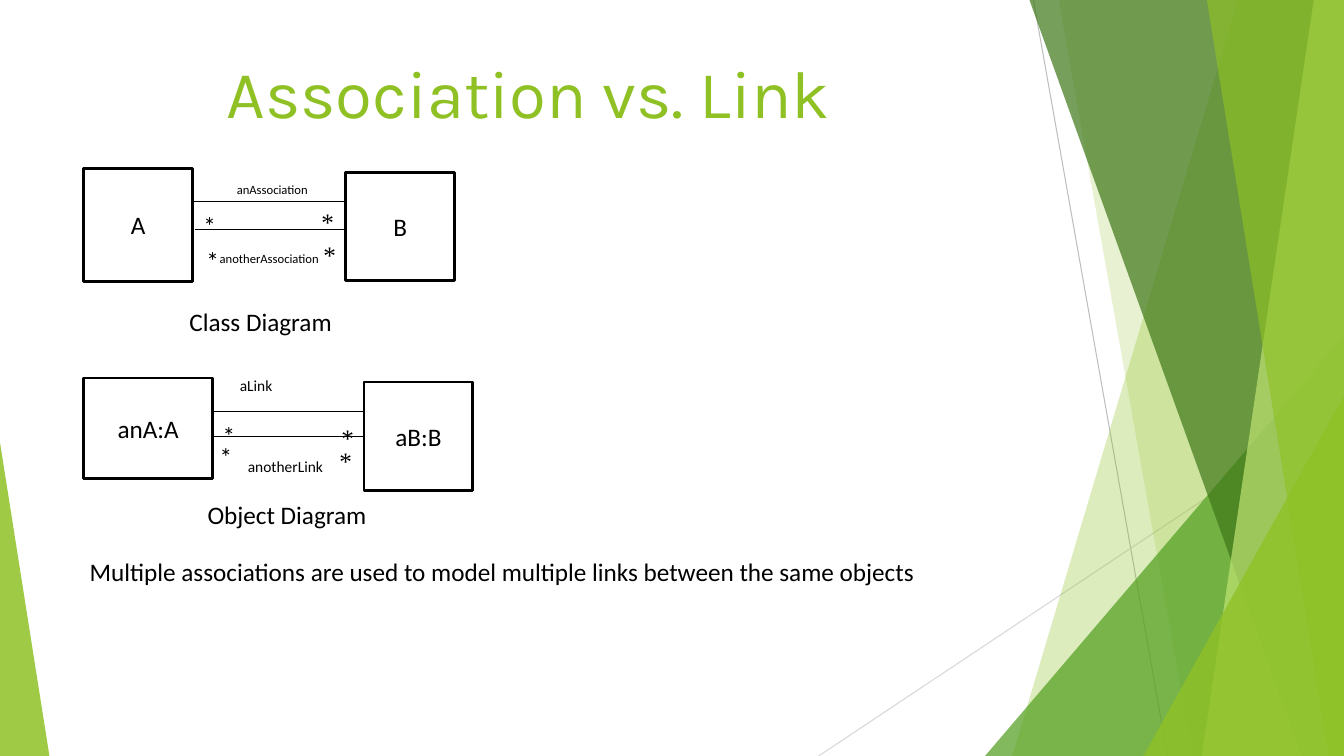
from dataclasses import dataclass

from lxml.etree import SubElement
from pptx import Presentation
from pptx.dml.color import RGBColor
from pptx.enum.shapes import MSO_CONNECTOR, MSO_SHAPE
from pptx.enum.text import MSO_ANCHOR, MSO_AUTO_SIZE, PP_ALIGN
from pptx.oxml.ns import qn
from pptx.shapes.autoshape import Shape
from pptx.shapes.connector import Connector
from pptx.slide import Slide
from pptx.text.text import TextFrame
from pptx.util import Emu, Pt

EMU_PER_PX = 9144
WIDTH, HEIGHT = 1333, 750
GREEN = "8FC125"
BLACK = "000000"


@dataclass(frozen=True)
class Facet:
    points: tuple[tuple[int, int], ...]
    color: str
    opacity: int


@dataclass(frozen=True)
class Box:
    text: str
    left: int
    top: int
    width: int
    height: int


@dataclass(frozen=True)
class Line:
    start: tuple[int, int]
    end: tuple[int, int]
    color: str = BLACK
    target: str = ""


@dataclass(frozen=True)
class Label:
    text: str
    left: int
    top: int
    width: int
    height: int = 40
    size: int = 18


@dataclass(frozen=True)
class Multiplicity:
    left: int
    top: int
    at_target: bool


FACETS = (
    Facet(((WIDTH, 0), (1228, 0), (1004, HEIGHT), (WIDTH, HEIGHT)), GREEN, 30),
    Facet(((WIDTH, 0), (1050, 0), (1183, HEIGHT), (WIDTH, HEIGHT)), GREEN, 20),
    Facet(((WIDTH, 333), (977, HEIGHT), (WIDTH, HEIGHT)), "539F20", 72),
    Facet(((WIDTH, 0), (1021, 0), (1291, HEIGHT), (WIDTH, HEIGHT)), "3E7718", 70),
    Facet(((WIDTH, 0), (1303, 0), (1192, HEIGHT), (WIDTH, HEIGHT)), "BFE373", 70),
    Facet(((WIDTH, 0), (1197, 0), (1318, HEIGHT), (WIDTH, HEIGHT)), GREEN, 65),
    Facet(((WIDTH, 393), (1134, HEIGHT), (WIDTH, HEIGHT)), GREEN, 80),
    Facet(((0, 439), (0, HEIGHT), (49, HEIGHT)), GREEN, 85),
)
BACKGROUND_LINES = (
    Line((1025, 0), (1158, HEIGHT), "BEBEBE"),
    Line((WIDTH, 403), (812, HEIGHT), "D8D8D8"),
)
BOXES = (
    Box("A", 83, 167, 108, 112),
    Box("B", 343, 171, 108, 107),
    Box("anA:A", 83, 375, 128, 100),
    Box("aB:B", 361, 379, 108, 108),
)
RELATIONS = (
    Line((192, 200), (342, 200)),
    Line((193, 228), (343, 228)),
    Line((211, 408), (361, 408)),
    Line((211, 433), (361, 433), target="aB:B"),
)
LABELS = (
    Label("anAssociation", 225, 176, 108, 25, 9),
    Label("anotherAssociation", 208, 244, 125, 25, 9),
    Label("Class Diagram", 178, 299, 208),
    Label("aLink", 228, 368, 108, 29, 11),
    Label("anotherLink", 236, 449, 108, 29, 11),
    Label("Object Diagram", 196, 490, 208),
    Label(
        "Multiple associations are used to model multiple links between the same objects",
        79, 547, 975,
    ),
)
MULTIPLICITIES = (
    Multiplicity(192, 204, False),
    Multiplicity(306, 200, True),
    Multiplicity(195, 238, False),
    Multiplicity(308, 233, True),
    Multiplicity(211, 412, False),
    Multiplicity(326, 414, True),
    Multiplicity(208, 433, False),
    Multiplicity(324, 437, True),
)


def px(length: int) -> Emu:
    return Emu(length * EMU_PER_PX)


def rgb(color: str) -> RGBColor:
    return RGBColor.from_string(color)


def write_text(
    frame: TextFrame, text: str, *, size: int = 18, font: str = "Calibri",
    color: str = BLACK, align: PP_ALIGN = PP_ALIGN.LEFT,
    anchor: MSO_ANCHOR = MSO_ANCHOR.TOP, wrap: bool = True, space_before: float = 0,
) -> None:
    frame.word_wrap = wrap
    frame.vertical_anchor = anchor
    paragraph = frame.paragraphs[0]
    paragraph.alignment = align
    paragraph.space_before = Pt(space_before)
    run = paragraph.add_run()
    run.text = text
    run.font.size = Pt(size)
    run.font.name = font
    run.font.color.rgb = rgb(color)


def add_text_frame(slide: Slide, left: int, top: int, width: int, height: int) -> TextFrame:
    shape = slide.shapes.add_textbox(px(left), px(top), px(width), px(height))
    shape.text_frame.auto_size = MSO_AUTO_SIZE.SHAPE_TO_FIT_TEXT
    return shape.text_frame


def draw_facet(slide: Slide, facet: Facet) -> None:
    builder = slide.shapes.build_freeform(*facet.points[0], scale=EMU_PER_PX)
    builder.add_line_segments(facet.points[1:], close=True)
    shape = builder.convert_to_shape()
    shape.shadow.inherit = False
    shape.line.fill.background()
    shape.fill.solid()
    shape.fill.fore_color.rgb = rgb(facet.color)
    color_element = shape.fill._xPr.find(qn("a:solidFill"))[0]
    SubElement(color_element, qn("a:alpha"), val=str(facet.opacity * 1000))


def draw_line(slide: Slide, line: Line) -> Connector:
    connector = slide.shapes.add_connector(
        MSO_CONNECTOR.STRAIGHT, *map(px, line.start + line.end)
    )
    connector.line.color.rgb = rgb(line.color)
    connector.line.width = Pt(0.75)
    SubElement(connector._element.spPr, qn("a:effectLst"))
    return connector


def draw_box(slide: Slide, box: Box) -> Shape:
    shape = slide.shapes.add_shape(
        MSO_SHAPE.RECTANGLE, px(box.left), px(box.top), px(box.width), px(box.height)
    )
    shape.shadow.inherit = False
    shape.fill.solid()
    shape.fill.fore_color.rgb = rgb("FFFFFF")
    shape.line.color.rgb = rgb(BLACK)
    shape.line.width = Pt(2)
    write_text(shape.text_frame, box.text, align=PP_ALIGN.CENTER, anchor=MSO_ANCHOR.MIDDLE)
    return shape


def draw_title(slide: Slide) -> None:
    frame = add_text_frame(slide, 225, 50, 825, 81)
    frame.margin_left = frame.margin_right = frame.margin_top = frame.margin_bottom = 0
    write_text(frame, "Association vs. Link", size=48, font="Karla", color=GREEN,
               anchor=MSO_ANCHOR.BOTTOM)


def draw_label(slide: Slide, label: Label) -> None:
    frame = add_text_frame(slide, label.left, label.top, label.width, label.height)
    write_text(frame, label.text, size=label.size)


def draw_multiplicity(slide: Slide, mark: Multiplicity) -> None:
    frame = add_text_frame(slide, mark.left, mark.top, 35 if mark.at_target else 33, 40)
    if mark.at_target:
        write_text(frame, "*", font="Times New Roman", align=PP_ALIGN.RIGHT,
                   wrap=False, space_before=2.5)
    else:
        write_text(frame, "*", wrap=False)


def main() -> None:
    presentation = Presentation()
    presentation.slide_width, presentation.slide_height = px(WIDTH), px(HEIGHT)
    slide = presentation.slides.add_slide(presentation.slide_layouts[6])
    for line in BACKGROUND_LINES:
        draw_line(slide, line)
    for facet in FACETS:
        draw_facet(slide, facet)
    draw_title(slide)
    boxes = {box.text: draw_box(slide, box) for box in BOXES}
    for relation in RELATIONS:
        connector = draw_line(slide, relation)
        if relation.target:
            connector.end_connect(boxes[relation.target], 1)
    for label in LABELS:
        draw_label(slide, label)
    for mark in MULTIPLICITIES:
        draw_multiplicity(slide, mark)
    presentation.save("out.pptx")


if __name__ == "__main__":
    main()
